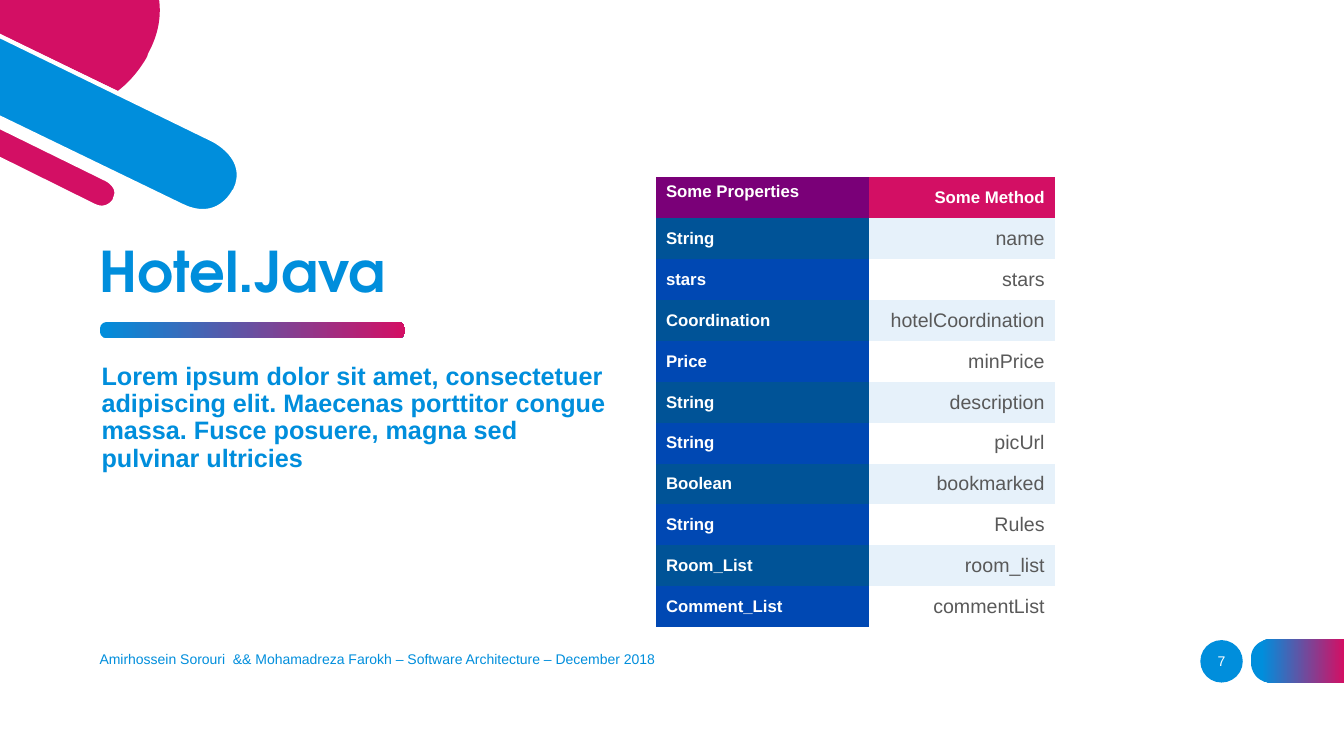
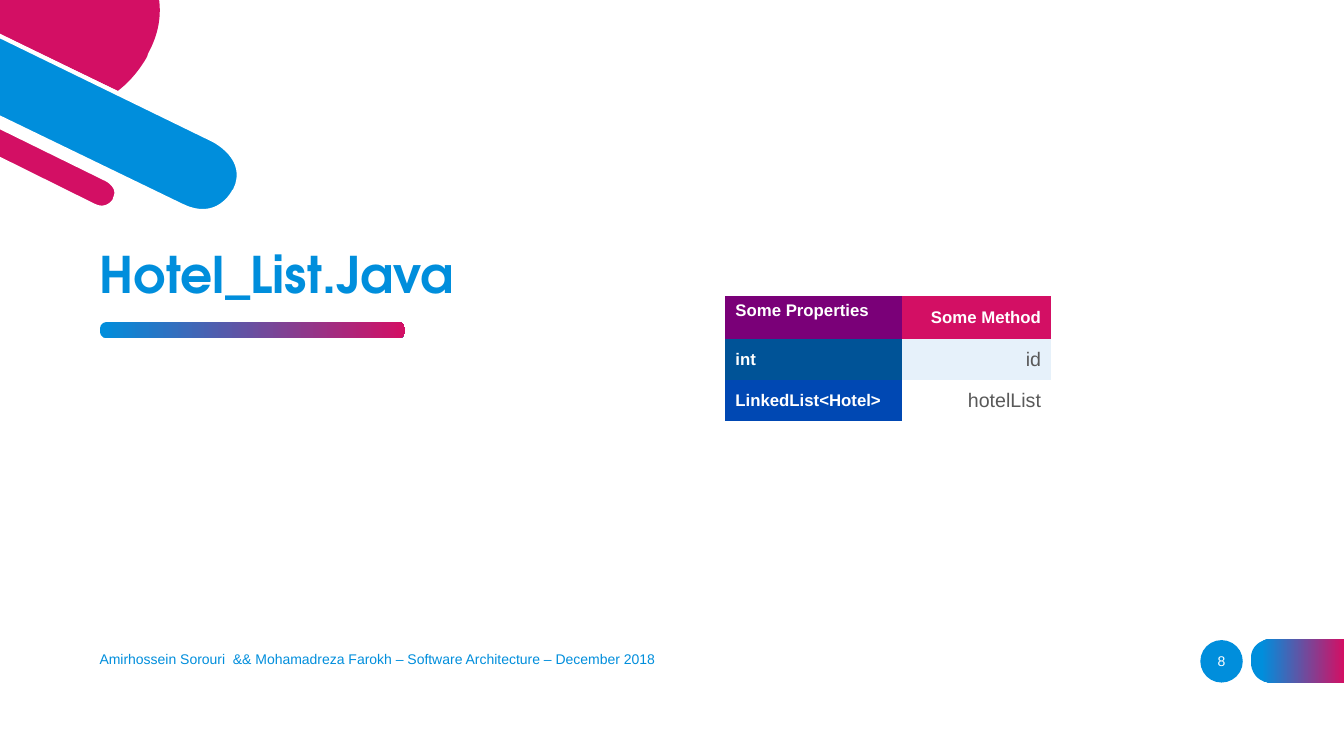
from dataclasses import dataclass

from pptx import Presentation
from pptx.dml.color import RGBColor
from pptx.enum.shapes import MSO_SHAPE
from pptx.enum.text import MSO_ANCHOR, PP_ALIGN
from pptx.oxml.ns import qn
from pptx.util import Cm, Pt

OVAL, ROUNDED = MSO_SHAPE.OVAL, MSO_SHAPE.ROUNDED_RECTANGLE
TOP, MIDDLE, BOTTOM = MSO_ANCHOR.TOP, MSO_ANCHOR.MIDDLE, MSO_ANCHOR.BOTTOM
LEFT, CENTER, RIGHT = PP_ALIGN.LEFT, PP_ALIGN.CENTER, PP_ALIGN.RIGHT

Point = tuple[float, float]


@dataclass(frozen=True)
class Theme:
    blue: str = "008EDC"
    magenta: str = "D30F64"
    purple: str = "7A0078"
    type_bands: tuple[str, str] = ("005397", "0048B3")
    name_bands: tuple[str, str] = ("E6F1FA", "FFFFFF")
    white: str = "FFFFFF"
    grey: str = "595959"
    title_font: str = "TeX Gyre Adventor"
    body_font: str = "Arial"
    body_size: int = 18
    name_size: int = 14
    label_size: int = 12
    footer_size: int = 10


@dataclass(frozen=True)
class TextStyle:
    size: int
    color: str
    bold: bool = False
    font: str = "Arial"
    align: PP_ALIGN = LEFT
    line_spacing: float = 1.0


@dataclass(frozen=True)
class Box:
    """Position and size in centimetres."""
    left: float
    top: float
    width: float
    height: float

    def emu(self) -> tuple[int, int, int, int]:
        return Cm(self.left), Cm(self.top), Cm(self.width), Cm(self.height)


@dataclass(frozen=True)
class Outline:
    """Closed outline: one point makes a line, three make a cubic curve."""
    start: Point
    segments: tuple[tuple[Point, ...], ...]
    color: str
    rim: bool = False


@dataclass(frozen=True)
class ClassTable:
    left: float
    top: float
    columns: tuple[float, float]
    header_height: float
    fields: tuple[tuple[str, str], ...]


@dataclass(frozen=True)
class ClassSlide:
    number: int
    title: str
    title_size: int
    table: ClassTable
    summary: str = ""


THEME = Theme()
ROW_HEIGHT = 1.03
CURVE_STEPS = 16
RIM_WIDTH = 3
NO_TABLE_STYLE = "{2D5ABB26-0587-4C30-8999-92F81FD0307C}"
HEADERS = ("Some Properties", "Some Method")
FOOTER = ("Amirhossein Sorouri  && Mohamadreza Farokh – "
          "Software Architecture – December 2018")

TITLE_BOX = Box(2.26, 5.92, 10, 1.88)
SUMMARY_BOX = Box(2.31, 9.04, 13.44, 5.13)
UNDERLINE_BOX = Box(2.52, 8.12, 7.69, 0.4)
FOOTER_BOX = Box(2.26, 16.1, 24.03, 1.02)
NUMBER_BOX = Box(30.25, 16.13, 1.07, 1.07)

CORNER = (
    Outline((3.71, 1.42), (
        ((3.71, 1.42), (3.45, 1.93), (2.97, 2.29)),
        ((0, 0.86),), ((0, 0),), ((4.01, 0),),
        ((4.06, 0.38), (4.01, 0.84), (3.73, 1.35)),
    ), THEME.magenta),
    Outline((-0.1, 0.86), (
        ((5.38, 3.53),),
        ((5.38, 3.53), (6.32, 3.99), (5.92, 4.8)),
        ((5.89, 4.83),),
        ((5.89, 4.83), (5.49, 5.64), (4.57, 5.18)),
        ((-0.1, 2.92),),
    ), THEME.blue, rim=True),
    Outline((-0.1, 3.15), (
        ((2.69, 4.52),),
        ((2.69, 4.52), (3.05, 4.7), (2.9, 5)),
        ((2.9, 5.03),),
        ((2.9, 5.03), (2.72, 5.36), (2.36, 5.18)),
        ((-0.1, 3.96),),
    ), THEME.magenta, rim=True),
)
FOOTER_TAB = Outline((32.05, 17.2), (
    ((33.87, 17.2),), ((33.87, 16.1),), ((32.05, 16.1),),
    ((32.05, 16.1), (31.52, 16.1), (31.52, 16.63)),
    ((31.52, 16.67),),
    ((31.52, 16.67), (31.52, 17.2), (32.05, 17.2)),
), THEME.blue)

SLIDES = (
    ClassSlide(
        7, "Hotel.Java", 40,
        ClassTable(16.53, 4.47, (5.37, 4.68), ROW_HEIGHT, (
            ("String", "name"),
            ("stars", "stars"),
            ("Coordination", "hotelCoordination"),
            ("Price", "minPrice"),
            ("String", "description"),
            ("String", "picUrl"),
            ("Boolean", "bookmarked"),
            ("String", "Rules"),
            ("Room_List", "room_list"),
            ("Comment_List", "commentList"),
        )),
        "Lorem ipsum dolor sit amet, consectetuer adipiscing elit. Maecenas "
        "porttitor congue massa. Fusce posuere, magna sed pulvinar ultricies",
    ),
    ClassSlide(
        8, "Hotel_List.Java", 36,
        ClassTable(18.28, 7.46, (4.45, 3.76), 1.09, (
            ("int", "id"),
            ("LinkedList<Hotel>", "hotelList"),
        )),
    ),
)


def rgb(color: str) -> RGBColor:
    return RGBColor.from_string(color)


def write(frame, text: str, style: TextStyle) -> None:
    frame.text = text
    paragraph = frame.paragraphs[0]
    paragraph.alignment = style.align
    paragraph.line_spacing = style.line_spacing
    font = paragraph.runs[0].font
    font.name, font.size, font.bold = style.font, Pt(style.size), style.bold
    font.color.rgb = rgb(style.color)


def add_text(slide, box: Box, text: str, style: TextStyle, anchor=TOP) -> None:
    frame = slide.shapes.add_textbox(*box.emu()).text_frame
    frame.word_wrap = True
    frame.vertical_anchor = anchor
    write(frame, text, style)


def paint(shape, color: str) -> None:
    shape.shadow.inherit = False
    shape.fill.solid()
    shape.fill.fore_color.rgb = rgb(color)
    shape.line.fill.background()


def paint_gradient(shape, blue_until: float = 0) -> None:
    """Fill from blue to magenta, left to right."""
    paint(shape, THEME.blue)
    shape.fill.gradient()
    shape.fill.gradient_angle = 0
    first, last = shape.fill.gradient_stops
    first.color.rgb, first.position = rgb(THEME.blue), blue_until
    last.color.rgb, last.position = rgb(THEME.magenta), 1


def curve_points(controls: tuple[Point, ...]) -> list[Point]:
    """Points along a cubic curve, without its first point."""
    points = []
    for step in range(1, CURVE_STEPS + 1):
        t = step / CURVE_STEPS
        weights = ((1 - t) ** 3, 3 * t * (1 - t) ** 2,
                   3 * t ** 2 * (1 - t), t ** 3)
        points.append((sum(w * x for w, (x, _) in zip(weights, controls)),
                       sum(w * y for w, (_, y) in zip(weights, controls))))
    return points


def add_outline(slide, outline: Outline):
    points = [outline.start]
    for segment in outline.segments:
        if len(segment) == 1:
            points.extend(segment)
        else:
            points.extend(curve_points((points[-1], *segment)))
    corners = [(Cm(x), Cm(y)) for x, y in points]
    builder = slide.shapes.build_freeform(*corners[0])
    builder.add_line_segments(corners[1:], close=True)
    shape = builder.convert_to_shape()
    paint(shape, outline.color)
    if outline.rim:
        shape.line.color.rgb = rgb(THEME.white)
        shape.line.width = Pt(RIM_WIDTH)
    return shape


def add_frame(slide, number: int) -> None:
    """Corner artwork, title underline, footer and slide number."""
    for outline in CORNER:
        add_outline(slide, outline)

    underline = slide.shapes.add_shape(ROUNDED, *UNDERLINE_BOX.emu())
    underline.adjustments[0] = 0.4
    paint_gradient(underline)
    paint_gradient(add_outline(slide, FOOTER_TAB), blue_until=0.12)

    badge = slide.shapes.add_shape(OVAL, *NUMBER_BOX.emu())
    paint(badge, THEME.blue)
    frame = badge.text_frame
    frame.margin_left = frame.margin_right = 0
    frame.vertical_anchor = MIDDLE
    write(frame, str(number),
          TextStyle(THEME.footer_size, THEME.white, align=CENTER))
    add_text(slide, FOOTER_BOX, FOOTER,
             TextStyle(THEME.footer_size, THEME.blue), MIDDLE)


def fill_cell(cell, text: str, fill: str, style: TextStyle,
              anchor=MIDDLE) -> None:
    cell.fill.solid()
    cell.fill.fore_color.rgb = rgb(fill)
    cell.vertical_anchor = anchor
    write(cell.text_frame, text, style)


def add_class_table(slide, content: ClassTable) -> None:
    heights = [content.header_height] + [ROW_HEIGHT] * len(content.fields)
    box = Box(content.left, content.top, sum(content.columns), sum(heights))
    holder = slide.shapes.add_table(len(heights), 2, *box.emu())
    next(holder.element.iter(qn("a:tableStyleId"))).text = NO_TABLE_STYLE
    table = holder.table
    for column, width in zip(table.columns, content.columns):
        column.width = Cm(width)
    for row, height in zip(table.rows, heights):
        row.height = Cm(height)

    label = TextStyle(THEME.label_size, THEME.white, bold=True)
    method = TextStyle(THEME.label_size, THEME.white, bold=True, align=RIGHT)
    name_style = TextStyle(THEME.name_size, THEME.grey, align=RIGHT)
    fill_cell(table.cell(0, 0), HEADERS[0], THEME.purple, label, TOP)
    fill_cell(table.cell(0, 1), HEADERS[1], THEME.magenta, method)
    for index, (type_name, name) in enumerate(content.fields):
        band = index % 2
        fill_cell(table.cell(index + 1, 0), type_name,
                  THEME.type_bands[band], label)
        fill_cell(table.cell(index + 1, 1), name,
                  THEME.name_bands[band], name_style)


def add_class_slide(deck, content: ClassSlide) -> None:
    slide = deck.slides.add_slide(deck.slide_layouts[6])
    add_frame(slide, content.number)
    add_text(slide, TITLE_BOX, content.title,
             TextStyle(content.title_size, THEME.blue, bold=True,
                       font=THEME.title_font, line_spacing=0.9), BOTTOM)
    if content.summary:
        add_text(slide, SUMMARY_BOX, content.summary,
                 TextStyle(THEME.body_size, THEME.blue, bold=True,
                           font=THEME.body_font, line_spacing=0.9))
    add_class_table(slide, content.table)


def main() -> None:
    deck = Presentation()
    deck.slide_width, deck.slide_height = Cm(33.87), Cm(19.05)
    for content in SLIDES:
        add_class_slide(deck, content)
    deck.save("out.pptx")


if __name__ == "__main__":
    main()
